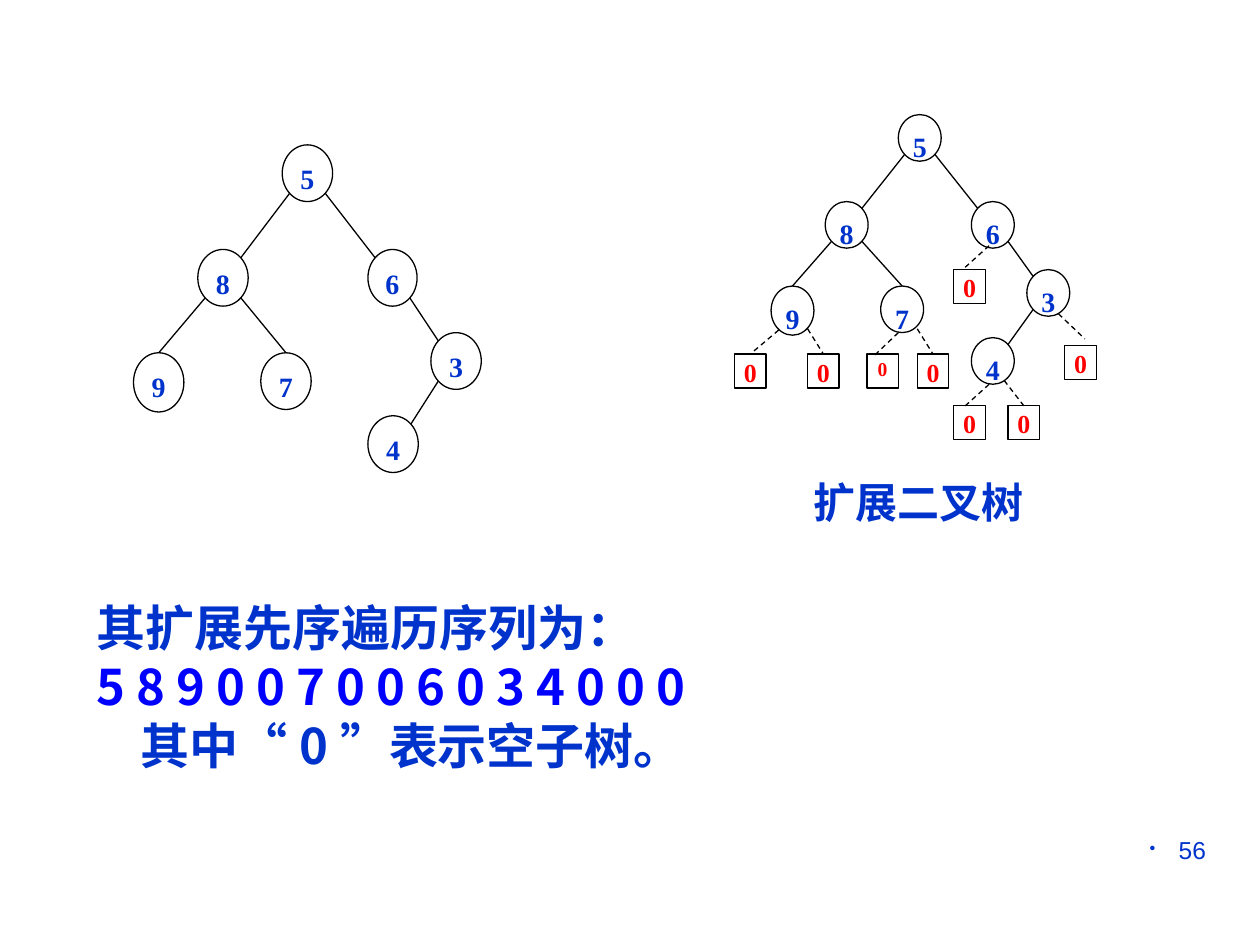
import dataclasses

import pptx
import pptx.dml.color
import pptx.enum.dml
import pptx.enum.shapes
import pptx.enum.text
import pptx.oxml
import pptx.oxml.ns
import pptx.util

Inches = pptx.util.Inches
Pt = pptx.util.Pt
ALIGN = pptx.enum.text.PP_ALIGN
ANCHOR = pptx.enum.text.MSO_ANCHOR
SHAPE = pptx.enum.shapes.MSO_SHAPE
qn = pptx.oxml.ns.qn


@dataclasses.dataclass(frozen=True)
class Theme:
    blue: str = "0033CC"
    bright_blue: str = "0000FF"
    red: str = "FF0000"
    black: str = "000000"
    white: str = "FFFFFF"
    serif: str = "Times New Roman"
    sans: str = "Arial"
    chinese: str = "Noto Sans CJK SC"
    node_size: float = 16
    empty_size: float = 14.8
    small_empty_size: float = 11.2
    caption_size: float = 24
    body_size: float = 28
    number_size: float = 14
    line_width: float = 0.75


def rgb(color):
    return pptx.dml.color.RGBColor.from_string(color)


class SlideBuilder:
    def __init__(self, slide, theme):
        self.slide = slide
        self.theme = theme
        self.shapes = slide.shapes

    def start_group(self):
        self.shapes = self.slide.shapes.add_group_shape().shapes

    def end_group(self):
        self.shapes = self.slide.shapes

    def add_run(self, paragraph, text, size, color, font, bold=True):
        run = paragraph.add_run()
        run.text = text
        run.font.size = Pt(size)
        run.font.bold = bold
        run.font.name = font
        run.font.color.rgb = rgb(color)
        east_asian = pptx.oxml.parse_xml(
            f'<a:ea {pptx.oxml.ns.nsdecls("a")} typeface="{self.theme.chinese}"/>')
        run.font._element.find(qn("a:latin")).addnext(east_asian)

    def set_frame(self, shape, insets, anchor=ANCHOR.TOP):
        frame = shape.text_frame
        frame.word_wrap = True
        frame.vertical_anchor = anchor
        (frame.margin_left, frame.margin_top,
         frame.margin_right, frame.margin_bottom) = map(Inches, insets)
        return frame

    def text_box(self, left, top, width, height, insets=(0.1, 0.05, 0.1, 0.05)):
        box = self.shapes.add_textbox(*map(Inches, (left, top, width, height)))
        return self.set_frame(box, insets)

    def labelled_shape(self, kind, place, text, size, color, spacing, inset_bottom, anchor):
        shape = self.shapes.add_shape(kind, *map(Inches, place))
        shape.shadow.inherit = False
        shape.fill.solid()
        shape.fill.fore_color.rgb = rgb(self.theme.white)
        shape.line.color.rgb = rgb(self.theme.black)
        shape.line.width = Pt(self.theme.line_width)
        frame = self.set_frame(shape, (0, 0, 0, inset_bottom), anchor)
        paragraph = frame.paragraphs[0]
        paragraph.alignment = ALIGN.CENTER
        paragraph.line_spacing = spacing
        self.add_run(paragraph, text, size, color, self.theme.serif)
        return shape

    def node(self, text, place):
        return self.labelled_shape(SHAPE.OVAL, place, text, self.theme.node_size,
                                   self.theme.blue, 1.25, 0, ANCHOR.TOP)

    def empty_subtree(self, left, top, small=False):
        size = self.theme.small_empty_size if small else self.theme.empty_size
        return self.labelled_shape(SHAPE.RECTANGLE, (left, top, 0.25, 0.27), "0", size,
                                   self.theme.red, 1.05, 0.05 if small else 0,
                                   ANCHOR.MIDDLE)

    def line(self, start, end, dashed=False):
        connector = self.shapes.add_connector(
            pptx.enum.shapes.MSO_CONNECTOR.STRAIGHT, *map(Inches, (*start, *end)))
        connector.line.color.rgb = rgb(self.theme.black)
        connector.line.width = Pt(self.theme.line_width)
        if dashed:
            connector.line.dash_style = pptx.enum.dml.MSO_LINE.DASH
        connector._element.spPr.append(pptx.oxml.parse_xml(
            f'<a:effectLst {pptx.oxml.ns.nsdecls("a")}/>'))
        return connector

    def tree(self, nodes):
        for text, place in nodes.items():
            self.node(text, place)
        for parent, child in TREE_EDGES:
            self.edge(nodes[parent], nodes[child], child in TOP_JOINED)

    def edge(self, parent, child, to_top):
        """Run between the diagonal points of two ovals, or to the child's top."""
        (px, py, pw, ph), (cx, cy, cw, ch) = parent, child
        side = 1 if cx > px else -1
        start = (px + pw / 2 + side * 0.35 * pw, py + 0.85 * ph)
        end = (cx + cw / 2, cy)
        if not to_top:
            end = (cx + cw / 2 - side * 0.35 * cw, cy + 0.15 * ch)
        self.line(start, end)


TREE_EDGES = ["58", "89", "87", "56", "63", "34"]
TOP_JOINED = "97"
BINARY_TREE = {
    "5": (2.24, 1.15, 0.4, 0.45), "9": (1.06, 2.8, 0.4, 0.47),
    "7": (2.07, 2.8, 0.4, 0.45), "6": (2.92, 1.98, 0.39, 0.45),
    "8": (1.57, 1.98, 0.4, 0.45), "3": (3.42, 2.64, 0.4, 0.45),
    "4": (2.92, 3.3, 0.4, 0.45),
}
EXTENDED_TREE = {
    "5": (7.13, 0.91, 0.34, 0.37), "9": (6.12, 2.27, 0.34, 0.39),
    "7": (6.99, 2.27, 0.34, 0.37), "6": (7.71, 1.6, 0.34, 0.37),
    "8": (6.55, 1.6, 0.34, 0.37), "3": (8.15, 2.14, 0.34, 0.37),
    "4": (7.71, 2.68, 0.34, 0.37),
}
# Square position, start of its dashed line, and its end (None: middle of the top side)
EMPTY_SUBTREES = [
    ((7.57, 2.14), (7.85, 1.95), (7.64, 2.14)),
    ((5.83, 2.81), (6.18, 2.62), None),
    ((6.41, 2.81), (6.41, 2.61), None),
    ((6.88, 2.81), (7.13, 2.64), (6.93, 2.83)),
    ((7.28, 2.81), (7.28, 2.61), None),
    ((7.57, 3.22), (7.85, 3.05), (7.64, 3.24)),
    ((8, 3.22), (7.97, 3.02), None),
    ((8.45, 2.74), (8.4, 2.49), (8.61, 2.69)),
]
SMALL_EMPTY = (6.88, 2.81)


def add_slide_number(builder, theme):
    paragraph = builder.text_box(7.17, 6.58, 2.5, 0.52).paragraphs[0]
    paragraph.alignment = ALIGN.RIGHT
    properties = paragraph._p.get_or_add_pPr()
    properties.set("marL", str(Inches(0.23)))
    properties.set("indent", str(Inches(-0.23)))
    namespace = pptx.oxml.ns.nsdecls("a")
    for bullet in (f'<a:buClr {namespace}><a:srgbClr val="{theme.blue}"/></a:buClr>',
                   f'<a:buSzPct {namespace} val="70000"/>',
                   f'<a:buChar {namespace} char="•"/>'):
        properties.append(pptx.oxml.parse_xml(bullet))
    builder.add_run(paragraph, "56", theme.number_size, theme.blue, theme.sans, bold=False)


def add_extended_tree(builder, theme):
    builder.start_group()
    builder.tree(EXTENDED_TREE)
    squares = [builder.empty_subtree(*position, small=position == SMALL_EMPTY)
               for position, _, _ in EMPTY_SUBTREES]
    for square, (position, start, end) in zip(squares, EMPTY_SUBTREES):
        connector = builder.line(start, end or position, dashed=True)
        if end is None:
            connector.end_connect(square, 0)
    caption = builder.text_box(6.25, 3.63, 2.03, 0.41, (0.15, 0.15, 0.1, 0.05)).paragraphs[0]
    caption.alignment = ALIGN.CENTER
    caption.line_spacing = Pt(29)
    builder.add_run(caption, "扩展二叉树", theme.caption_size, theme.blue, theme.chinese)
    builder.end_group()


def add_explanation(builder, theme):
    lines = [
        (theme.blue, [("其扩展先序遍历序列为：", theme.chinese)]),
        (theme.bright_blue, [("5 8 9 0 0 7 0 0 6 0 3 4 0 0 0", theme.chinese)]),
        (theme.blue, [("其中", theme.chinese), ("“", theme.sans), ("0", theme.chinese),
                      ("”", theme.sans), ("表示空子树。", theme.chinese)]),
    ]
    frame = builder.text_box(0.67, 4.69, 6.38, 1.97)
    for index, (color, runs) in enumerate(lines):
        paragraph = frame.add_paragraph() if index else frame.paragraphs[0]
        paragraph.line_spacing = Pt(33.7)
        for text, font in runs:
            builder.add_run(paragraph, text, theme.body_size, color, font)
    paragraph._p.get_or_add_pPr().set("marL", str(Inches(0.35)))


def main():
    presentation = pptx.Presentation()
    presentation.slide_width, presentation.slide_height = Inches(10), Inches(7.5)
    theme = Theme()
    slide = presentation.slides.add_slide(presentation.slide_layouts[6])
    builder = SlideBuilder(slide, theme)
    add_slide_number(builder, theme)
    builder.start_group()
    builder.tree(BINARY_TREE)
    builder.end_group()
    add_extended_tree(builder, theme)
    add_explanation(builder, theme)
    presentation.save("out.pptx")


if __name__ == "__main__":
    main()
